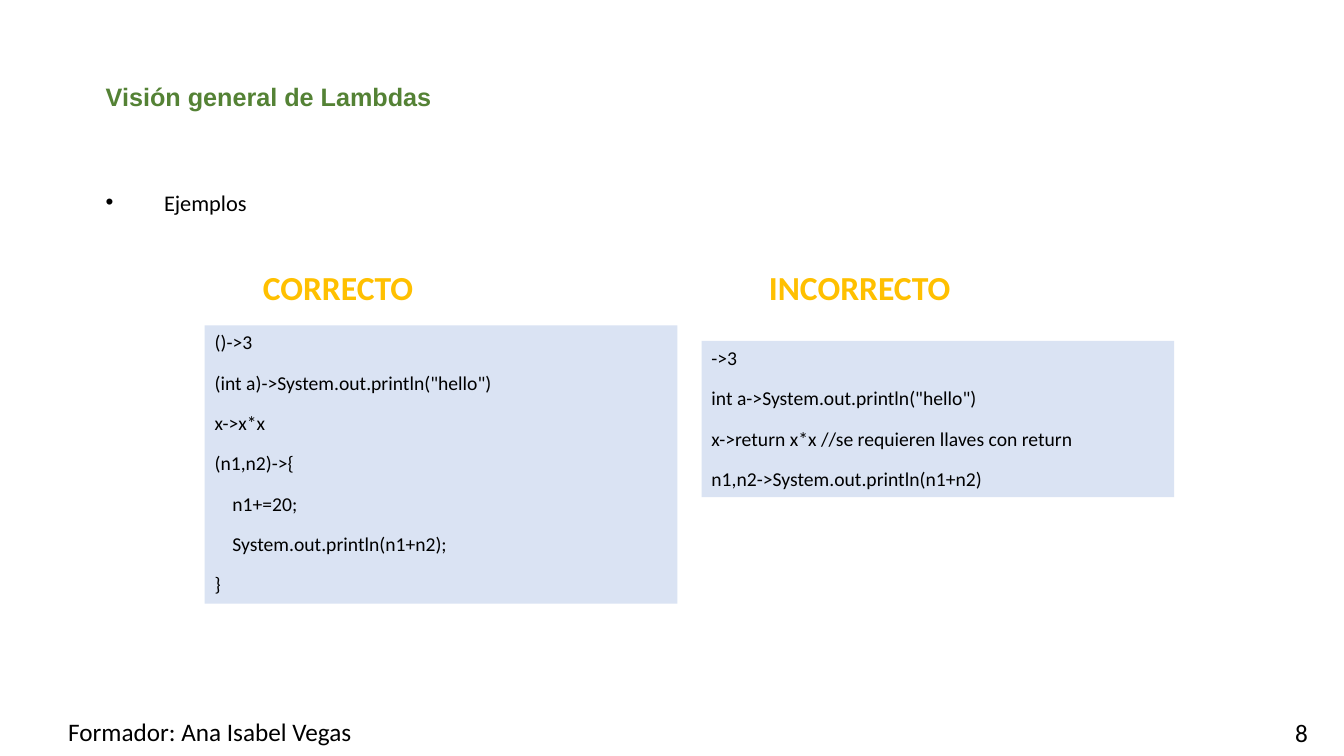
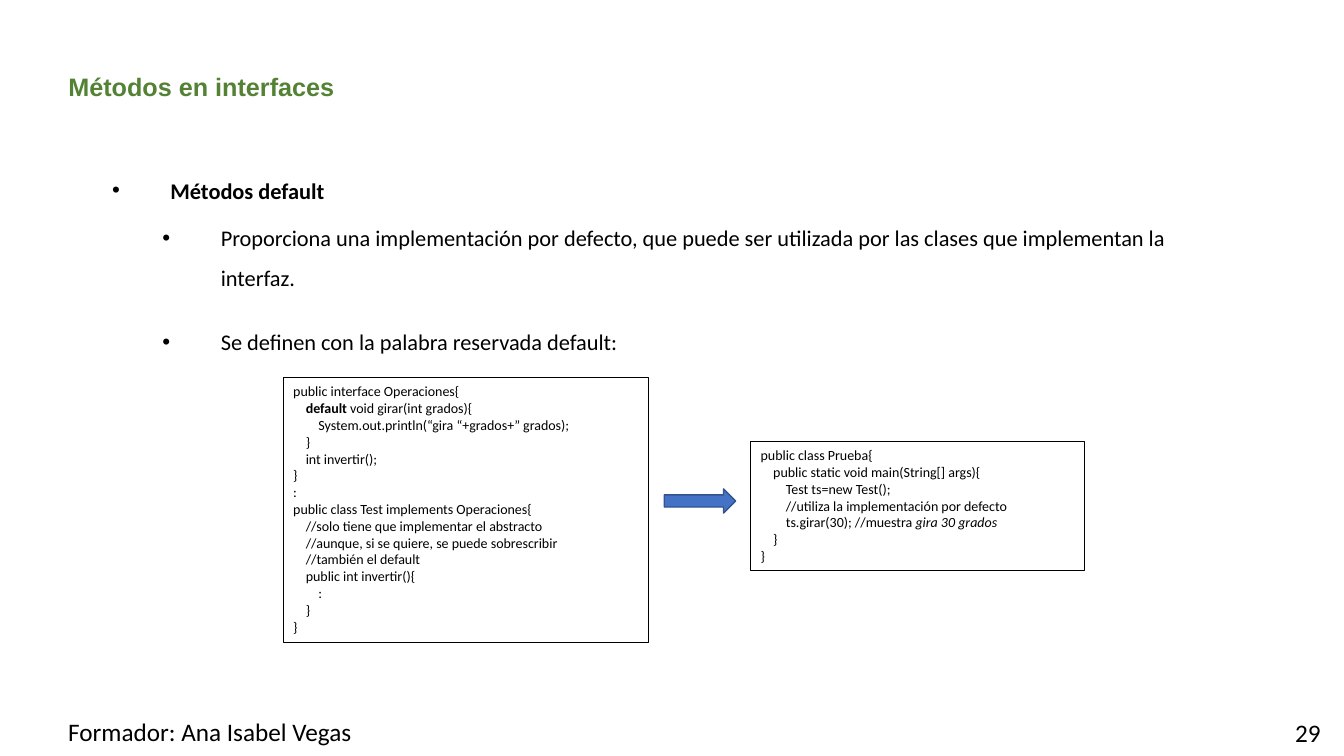
"""Builds two slides on Java lambdas and default interface methods."""
from lxml import etree
from pptx import Presentation
from pptx import util as u
from pptx.dml.color import RGBColor
from pptx.enum import shapes, text
from pptx.oxml import ns

COLOURS = {"title": "548235", "text": "000000", "heading": "FFC000", "panel": "DAE3F3",
           "arrow": "4472C4", "arrow_edge": "325491"}
FOOTER = "Formador: Ana Isabel Vegas"
INDENT = 1.47
LEVEL_STEP = 1.27

SLIDES = [
    {
        "title": "Visión general de Lambdas", "title_at": (2.41, 2.01), "number": "8",
        "body_at": (2.41, 4.29),
        "bullets": [(0, "Ejemplos", {})],
        "headings": [("CORRECTO", (6.35, 6.6, 4.34, 1.27)),
                     ("INCORRECTO", (19.1, 6.6, 5.13, 1.27))],
        "code_style": {"size": 14, "after": 12},
        "panel": {"fill": "panel"},
        "code": [
            ((5.16, 8.2, 11.91, 7.01), [
                "()->3",
                '(int a)->System.out.println("hello")',
                "x->x*x",
                "(n1,n2)->{",
                "    n1+=20;",
                "    System.out.println(n1+n2);",
                "}"]),
            ((17.68, 8.59, 11.91, 3.94), [
                "->3",
                'int a->System.out.println("hello")',
                "x->return x*x //se requieren llaves con return",
                "n1,n2->System.out.println(n1+n2)"]),
        ],
        "arrows": [],
    },
    {
        "title": "Métodos en interfaces", "title_at": (1.47, 1.75), "number": "29",
        "body_at": (2.57, 3.99),
        "bullets": [
            (0, "Métodos default", {"bold": True}),
            (1, "Proporciona una implementación por defecto, que puede ser utilizada por las "
                "clases que implementan la interfaz.", {"after": 12}),
            (1, "Se definen con la palabra reservada default:", {"after": 12})],
        "headings": [],
        "code_style": {"size": 10},
        "panel": {"line": "text", "width": 0.5},
        "code": [
            ((7.14, 9.52, 9.19, 6.68), [
                "public interface Operaciones{",
                [("    ", ""), ("default ", "bold"), ("void girar(int grados){", "")],
                "        System.out.println(“gira “+grados+” grados);",
                "    }",
                "    int invertir();",
                "}",
                ":",
                "public class Test implements Operaciones{",
                "    //solo tiene que implementar el abstracto",
                "    //aunque, si se quiere, se puede sobrescribir",
                "    //también el default",
                "    public int invertir(){",
                "        :",
                "    }",
                "}"]),
            ((18.92, 11.13, 8.41, 3.25), [
                "public class Prueba{",
                "    public static void main(String[] args){",
                "        Test ts=new Test();",
                "        //utiliza la implementación por defecto",
                [("        ts.girar(30); //muestra ", ""), ("gira 30 grados", "italic")],
                "    }",
                "}"]),
        ],
        "arrows": [(16.74, 12.32, 1.8, 0.61)],
    },
]


def colour(name):
    return RGBColor.from_string(COLOURS[name])


def place(shape, left, top, width, height):
    shape.left, shape.top = u.Cm(left), u.Cm(top)
    shape.width, shape.height = u.Cm(width), u.Cm(height)


def prepare_frame(shape, wrap=True):
    frame = shape.text_frame
    frame.auto_size = text.MSO_AUTO_SIZE.NONE
    frame.word_wrap = wrap
    frame.vertical_anchor = text.MSO_ANCHOR.TOP
    return frame


def add_bullet(paragraph, level):
    properties = paragraph._p.get_or_add_pPr()
    properties.set("marL", str(u.Cm(INDENT + level * LEVEL_STEP)))
    properties.set("indent", str(-u.Cm(INDENT)))
    etree.SubElement(properties, ns.qn("a:buFont")).set("typeface", "Arial")
    etree.SubElement(properties, ns.qn("a:buChar")).set("char", "•")


def write(paragraph, content, size=18, font="Calibri", ink="text", bold=False,
          align="LEFT", spacing=1.0, before=0, after=0):
    paragraph.alignment = getattr(text.PP_ALIGN, align)
    paragraph.line_spacing = spacing
    paragraph.space_before, paragraph.space_after = u.Pt(before), u.Pt(after)
    runs = [(content, "")] if isinstance(content, str) else content
    for words, emphasis in runs:
        run = paragraph.add_run()
        run.text = words
        run.font.name, run.font.size = font, u.Pt(size)
        run.font.bold = bold or emphasis == "bold"
        run.font.italic = emphasis == "italic"
        run.font.color.rgb = colour(ink)


def next_paragraph(frame, index):
    return frame.add_paragraph() if index else frame.paragraphs[0]


def add_label(slide, box, content, wrap=True, **style):
    label = slide.shapes.add_textbox(*map(u.Cm, box))
    write(prepare_frame(label, wrap).paragraphs[0], content, **style)


def add_figure(slide, kind, box, fill=None, line=None, width=1):
    shape = slide.shapes.add_shape(kind, *map(u.Cm, box))
    shape.shadow.inherit = False
    if fill:
        shape.fill.solid()
        shape.fill.fore_color.rgb = colour(fill)
    else:
        shape.fill.background()
    if line:
        shape.line.color.rgb = colour(line)
        shape.line.width = u.Pt(width)
    else:
        shape.line.fill.background()
    return shape


def add_common(slide, content):
    place(slide.shapes.title, *content["title_at"], 30.66, 1.19)
    write(prepare_frame(slide.shapes.title).paragraphs[0], content["title"],
          font="Arial", ink="title", bold=True, spacing=0.9)
    add_label(slide, (1.47, 17.93, 10.72, 1.02), FOOTER)
    add_label(slide, (32.39, 17.96, 1.35, 1.02), content["number"])


def add_body(slide, content):
    body = slide.placeholders[1]
    place(body, *content["body_at"], 28.75, 12.9)
    frame = prepare_frame(body)
    for index, (level, words, style) in enumerate(content["bullets"]):
        paragraph = next_paragraph(frame, index)
        paragraph.level = level
        add_bullet(paragraph, level)
        write(paragraph, words, size=16, spacing=1.5, before=5 if index else 0, **style)


def add_code(slide, content):
    for box, lines in content["code"]:
        panel = add_figure(slide, shapes.MSO_SHAPE.RECTANGLE, box, **content["panel"])
        frame = prepare_frame(panel)
        for index, line in enumerate(lines):
            write(next_paragraph(frame, index), line, **content["code_style"])


def main():
    presentation = Presentation()
    presentation.slide_width, presentation.slide_height = u.Cm(33.87), u.Cm(19.05)
    for content in SLIDES:
        slide = presentation.slides.add_slide(presentation.slide_layouts[1])
        add_common(slide, content)
        add_body(slide, content)
        add_code(slide, content)
        for words, box in content["headings"]:
            add_label(slide, box, words, wrap=False, size=24, ink="heading", bold=True,
                      align="CENTER")
        for box in content["arrows"]:
            add_figure(slide, shapes.MSO_SHAPE.RIGHT_ARROW, box, fill="arrow",
                       line="arrow_edge")
    presentation.save("out.pptx")


if __name__ == "__main__":
    main()
